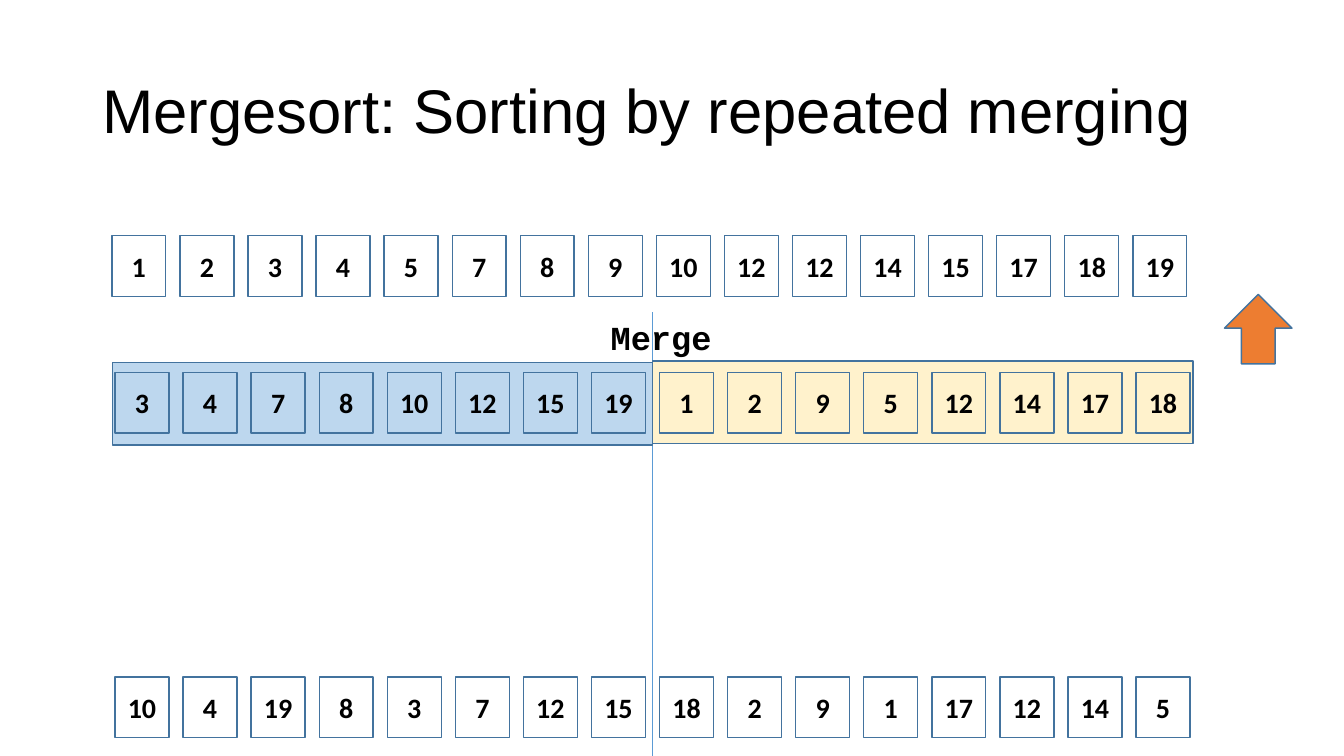
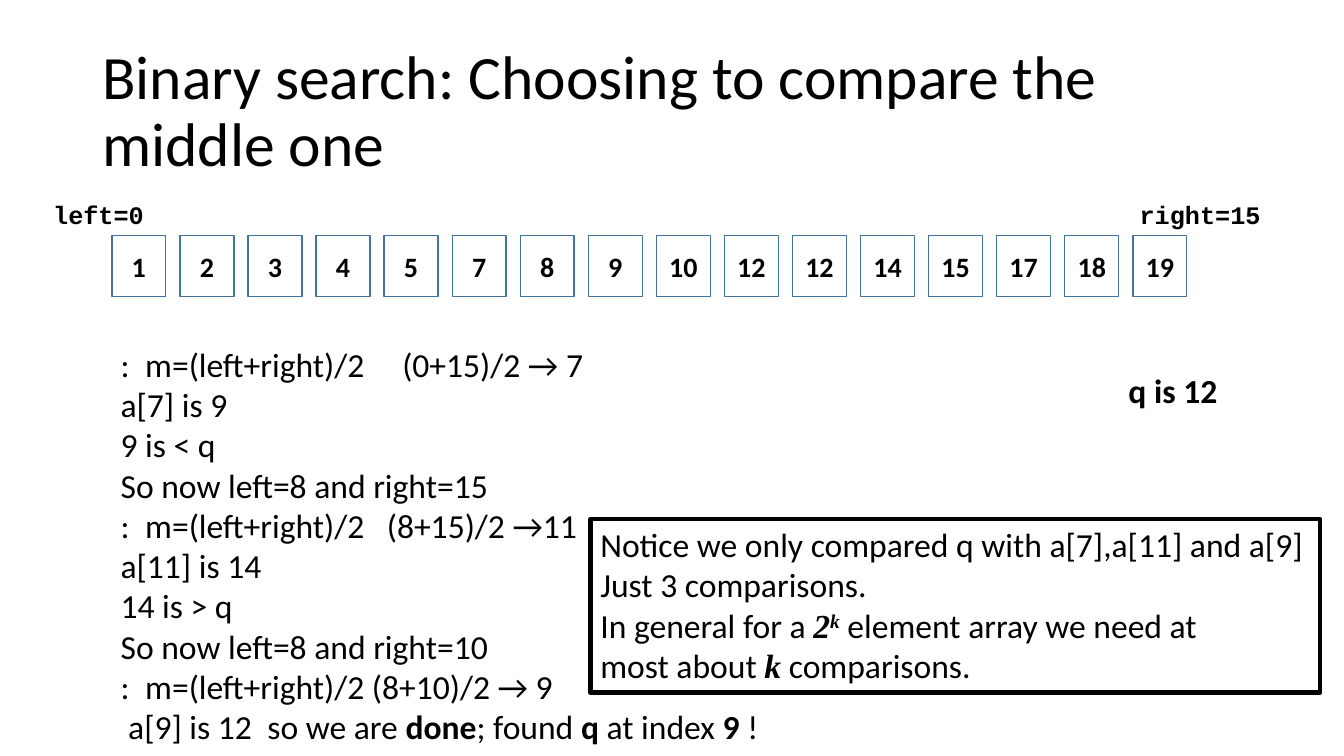
"""Build two slides on merge sort and binary search."""
from lxml.etree import SubElement
from pptx import Presentation
from pptx.dml.color import RGBColor as Rgb
from pptx.enum.shapes import MSO_CONNECTOR as Connector, MSO_SHAPE as Shape
from pptx.enum.text import MSO_ANCHOR as Anchor, MSO_AUTO_SIZE as Fit, PP_ALIGN as Align
from pptx.oxml.ns import qn
from pptx.util import Cm, Pt

THEME = {
    "ink": "000000", "outline": "43739E", "divider": "5B9BD5",
    "left_half": "BDD7EE", "right_half": "FFF2CC", "arrow": "ED7D31",
    "title": {"name": "Calibri", "size": Pt(44)},
    "sans_title": {"name": "Arial", "size": Pt(44)},
    "cell": {"name": "Calibri", "size": Pt(20), "bold": True},
    "step": {"name": "Courier New", "size": Pt(24), "bold": True},
    "bound": {"name": "Courier New", "size": Pt(18), "bold": True},
    "body": {"name": "Calibri", "size": Pt(24)},
    "strong": {"name": "Calibri", "size": Pt(24), "bold": True},
    "math": {"name": "Times New Roman", "size": Pt(24), "bold": True, "italic": True},
}

MERGE_TITLE = "Mergesort: Sorting by repeated merging"
SEARCH_TITLE = "Binary search: Choosing to compare the middle one"
SORTED = (1, 2, 3, 4, 5, 7, 8, 9, 10, 12, 12, 14, 15, 17, 18, 19)
HALVES = (3, 4, 7, 8, 10, 12, 15, 19, 1, 2, 9, 5, 12, 14, 17, 18)
UNSORTED = (10, 4, 19, 8, 3, 7, 12, 15, 18, 2, 9, 1, 17, 12, 14, 5)
MERGE_LABELS = [("Merge", "step", (15.14, 7.87, 3.07, 1.27))]
SEARCH_LABELS = [
    ("left=0", "bound", (1.09, 4.9, 2.82, 1.02)),
    ("right=15", "bound", (28.47, 4.9, 3.58, 1.02)),
    ("q is 12", "strong", (28.19, 9.19, 2.77, 1.27)),
]
STEPS = [
    ":\tm=(left+right)/2\t(0+15)/2 → 7",
    "a[7] is 9",
    "9 is < q",
    "So now left=8 and right=15",
    ":\tm=(left+right)/2\t(8+15)/2 →11",
    "a[11] is 14",
    "14 is > q",
    "So now left=8 and right=10",
    ":\tm=(left+right)/2 (8+10)/2 → 9",
    [(" a[9] is 12\tso we are ", "body"), ("done", "strong"), ("; found ", "body"),
     ("q", "strong"), (" at index ", "body"), ("9 ", "strong"), ("!", "body")],
]
STEP_TABS = {0: (0.62, 7.1), 4: (0.62, 6.71), 8: (0.62,), 9: (3.7,)}
NOTICE = [
    "Notice we only compared q with a[7],a[11] and a[9]",
    "Just 3 comparisons.",
    [("In general for a ", "body"), ("2", "math"), ("k", "math", 30),
     (" element array we need at", "body")],
    [("most about ", "body"), ("k", "math"), (" comparisons.", "body")],
]

CELL_WIDTH, CELL_HEIGHT, ROW_SPAN = 1.36, 1.53, 25.73
SORTED_AT, HALVES_AT, UNSORTED_AT = (2.82, 5.94), (2.9, 9.38), (2.9, 17.06)
HALF_WIDTH, HALF_HEIGHT, MIDDLE = 13.62, 2.08, 16.45


def place(at):
    return [Cm(value) for value in at]


def apply(target, values):
    for name, value in values.items():
        setattr(target, name, value)


def write(box, lines, style, tabs=None, frame=None, layout=None):
    apply(box.text_frame, {"word_wrap": True, **(frame or {})})
    for index, line in enumerate(lines):
        para = box.text_frame.paragraphs[0] if index == 0 else box.text_frame.add_paragraph()
        apply(para, layout or {})
        stops = (tabs or {}).get(index, ())
        if stops:
            tab_list = SubElement(para._p.get_or_add_pPr(), qn("a:tabLst"))
            for stop in stops:
                SubElement(tab_list, qn("a:tab"), pos=str(Cm(stop)), algn="l")
        for text, look, *raised in [(line, style)] if isinstance(line, str) else line:
            span = para.add_run()
            span.text = text
            apply(span.font, THEME[look])
            span.font.color.rgb = Rgb.from_string(THEME["ink"])
            if raised:
                span._r.get_or_add_rPr().set("baseline", str(raised[0] * 1000))


def add_box(shapes, kind, at, fill=None, line="outline", weight=1):
    box = shapes.add_shape(kind, *place(at))
    box.shadow.inherit = False
    if fill:
        box.fill.solid()
        box.fill.fore_color.rgb = Rgb.from_string(THEME[fill])
    else:
        box.fill.background()
    box.line.color.rgb = Rgb.from_string(THEME[line])
    box.line.width = Pt(weight)
    return box


def add_row(shapes, numbers, at):
    left, top = at
    pitch = ROW_SPAN / (len(numbers) - 1)
    for index, number in enumerate(numbers):
        cell = add_box(shapes, Shape.RECTANGLE,
                       (left + index * pitch, top, CELL_WIDTH, CELL_HEIGHT))
        write(cell, [str(number)], "cell", frame={"vertical_anchor": Anchor.MIDDLE},
              layout={"alignment": Align.CENTER})


def add_page(deck, title, style):
    page = deck.slides.add_slide(deck.slide_layouts[6])
    box = page.shapes.add_textbox(*place((2.33, 1.01, 29.21, 3.68)))
    write(box, [title], style, frame={"vertical_anchor": Anchor.MIDDLE},
          layout={"line_spacing": 0.9})
    return page


def add_labels(page, labels):
    for text, style, at in labels:
        box = page.shapes.add_textbox(*place(at))
        write(box, [text], style,
              frame={"word_wrap": False, "auto_size": Fit.SHAPE_TO_FIT_TEXT})


def add_divider(page, x, bottom, top):
    divider = page.shapes.add_connector(Connector.STRAIGHT, *place((x, bottom, x, top)))
    divider.line.color.rgb = Rgb.from_string(THEME["divider"])
    divider.line.width = Pt(0.5)
    SubElement(divider._element.spPr, qn("a:effectLst"))


def build_merge(deck):
    page = add_page(deck, MERGE_TITLE, "sans_title")
    add_row(page.shapes, UNSORTED, UNSORTED_AT)
    add_divider(page, MIDDLE, 19.05, 7.87)
    halves = page.shapes.add_group_shape().shapes
    for left, top, fill in ((MIDDLE, 9.1, "right_half"),
                            (MIDDLE - HALF_WIDTH, 9.14, "left_half")):
        add_box(halves, Shape.RECTANGLE, (left, top, HALF_WIDTH, HALF_HEIGHT), fill)
    add_row(halves, HALVES, HALVES_AT)
    add_labels(page, MERGE_LABELS)
    add_row(page.shapes.add_group_shape().shapes, SORTED, SORTED_AT)
    add_box(page.shapes, Shape.UP_ARROW, (30.86, 7.42, 1.7, 1.75), "arrow")


def build_search(deck):
    page = add_page(deck, SEARCH_TITLE, "title")
    add_row(page.shapes.add_group_shape().shapes, SORTED, SORTED_AT)
    add_labels(page, SEARCH_LABELS)
    steps = page.shapes.add_textbox(*place((2.79, 8.53, 17, 10.52)))
    write(steps, STEPS, "body", STEP_TABS)
    notice = add_box(page.shapes, Shape.RECTANGLE, (14.88, 13.08, 18.39, 4.37),
                     line="ink", weight=3)
    write(notice, NOTICE, "body", frame={"vertical_anchor": Anchor.TOP},
          layout={"alignment": Align.LEFT})


deck = Presentation()
apply(deck, {"slide_width": Cm(33.87), "slide_height": Cm(19.05)})
build_merge(deck)
build_search(deck)
deck.save("out.pptx")
